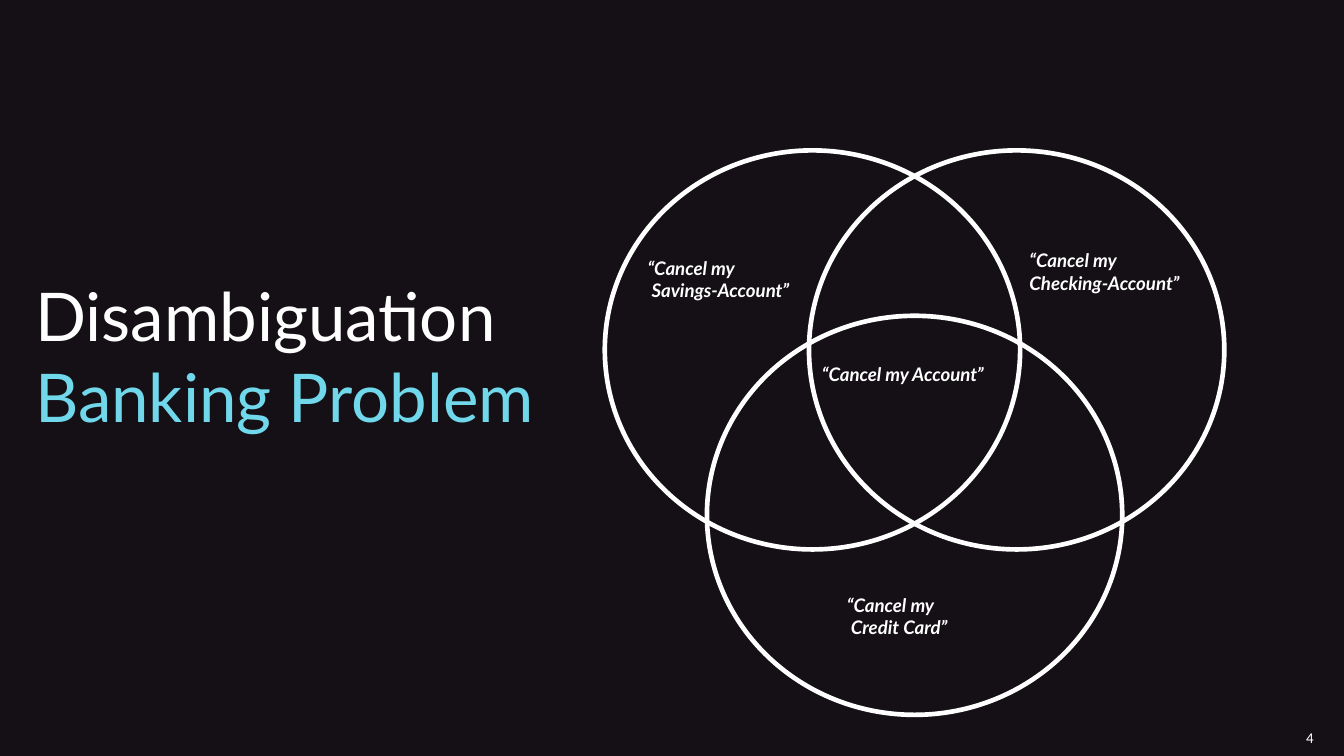
from dataclasses import dataclass

import pptx
import pptx.dml.color
import pptx.enum.shapes
import pptx.enum.text
import pptx.shapes.autoshape
import pptx.slide
import pptx.text.text
import pptx.util

Pt = pptx.util.Pt
RGBColor = pptx.dml.color.RGBColor


@dataclass(frozen=True)
class Theme:
    background: RGBColor = RGBColor(0x14, 0x10, 0x15)
    heading: RGBColor = RGBColor(0xFD, 0xFE, 0xFD)
    accent: RGBColor = RGBColor(0x71, 0xD7, 0xEA)
    white: RGBColor = RGBColor(0xFF, 0xFF, 0xFF)
    font: str = "Lato"
    number_font: str = "Calibri"
    heading_size: float = 36
    label_size: float = 10
    number_size: float = 8
    ring_width: float = 2.5


@dataclass(frozen=True)
class Ring:
    left: float
    top: float


@dataclass(frozen=True)
class Utterance:
    left: float
    top: float
    lines: tuple[str, ...]


THEME = Theme()
RING_WIDTH, RING_HEIGHT = 222.5, 213.8
RING_LEFT, RING_STEP = 324, 54.7
UPPER_TOP, LOWER_TOP = 80.6, 169.2
LABEL_WIDTH, LABEL_LINE, LABEL_MARGINS = 113.8, 12, 7.2

RINGS = [
    Ring(RING_LEFT + index * RING_STEP, top)
    for index, top in enumerate((UPPER_TOP, LOWER_TOP, UPPER_TOP))
]
UTTERANCES = [
    Utterance(339.8, 134, ("“Cancel my", " Savings-Account”")),
    Utterance(544.4, 129.9, ("“Cancel my", "Checking-Account”")),
    Utterance(446.6, 314.6, ("“Cancel my", " Credit Card”")),
    Utterance(433.2, 190.8, ("“Cancel my Account”",)),
]


def add_run(paragraph: pptx.text.text._Paragraph, text: str, size: float,
            color: RGBColor, font: str = THEME.font, emphasis: bool = False) -> None:
    run = paragraph.add_run()
    run.text = text
    run.font.name = font
    run.font.size = Pt(size)
    run.font.color.rgb = color
    run.font.bold = run.font.italic = emphasis


def add_title(slide: pptx.slide.Slide) -> None:
    title = slide.shapes.title
    title.left, title.top = Pt(18.9), Pt(146.9)
    title.width, title.height = Pt(285), Pt(122.4)
    frame = title.text_frame
    frame.margin_left = frame.margin_right = frame.margin_top = frame.margin_bottom = 0
    frame.word_wrap = True
    frame.auto_size = pptx.enum.text.MSO_AUTO_SIZE.NONE
    frame.vertical_anchor = pptx.enum.text.MSO_ANCHOR.TOP
    lines = (("Disambiguation", THEME.heading), ("Banking Problem", THEME.accent))
    for index, (text, color) in enumerate(lines):
        paragraph = frame.add_paragraph() if index else frame.paragraphs[0]
        paragraph.alignment = pptx.enum.text.PP_ALIGN.LEFT
        add_run(paragraph, text, THEME.heading_size, color)


def add_ring(slide: pptx.slide.Slide, ring: Ring) -> None:
    circle = slide.shapes.add_shape(
        pptx.enum.shapes.MSO_SHAPE.OVAL,
        Pt(ring.left), Pt(ring.top), Pt(RING_WIDTH), Pt(RING_HEIGHT),
    )
    circle.shadow.inherit = False
    circle.fill.background()
    circle.line.color.rgb = THEME.white
    circle.line.width = Pt(THEME.ring_width)


def add_utterance(slide: pptx.slide.Slide, utterance: Utterance) -> None:
    height = LABEL_LINE * len(utterance.lines) + LABEL_MARGINS
    label = slide.shapes.add_textbox(
        Pt(utterance.left), Pt(utterance.top), Pt(LABEL_WIDTH), Pt(height)
    )
    frame = label.text_frame
    frame.word_wrap = True
    frame.auto_size = pptx.enum.text.MSO_AUTO_SIZE.SHAPE_TO_FIT_TEXT
    for index, line in enumerate(utterance.lines):
        paragraph = frame.add_paragraph() if index else frame.paragraphs[0]
        add_run(paragraph, line, THEME.label_size, THEME.white, emphasis=True)


def add_page_number(slide: pptx.slide.Slide, number: int) -> None:
    page_number = slide.shapes.add_textbox(Pt(699.8), Pt(387.4), Pt(4.3), Pt(9.4))
    frame = page_number.text_frame
    frame.margin_left = frame.margin_right = frame.margin_bottom = 0
    frame.margin_top = Pt(2.9)
    frame.word_wrap = False
    add_run(frame.paragraphs[0], str(number), THEME.number_size, THEME.white,
            THEME.number_font)


def main() -> None:
    presentation = pptx.Presentation()
    presentation.slide_width, presentation.slide_height = Pt(720), Pt(405)
    slide = presentation.slides.add_slide(presentation.slide_layouts[5])
    slide.background.fill.solid()
    slide.background.fill.fore_color.rgb = THEME.background
    add_page_number(slide, 4)
    add_title(slide)
    for ring in RINGS:
        add_ring(slide, ring)
    for utterance in UTTERANCES:
        add_utterance(slide, utterance)
    presentation.save("out.pptx")


if __name__ == "__main__":
    main()
